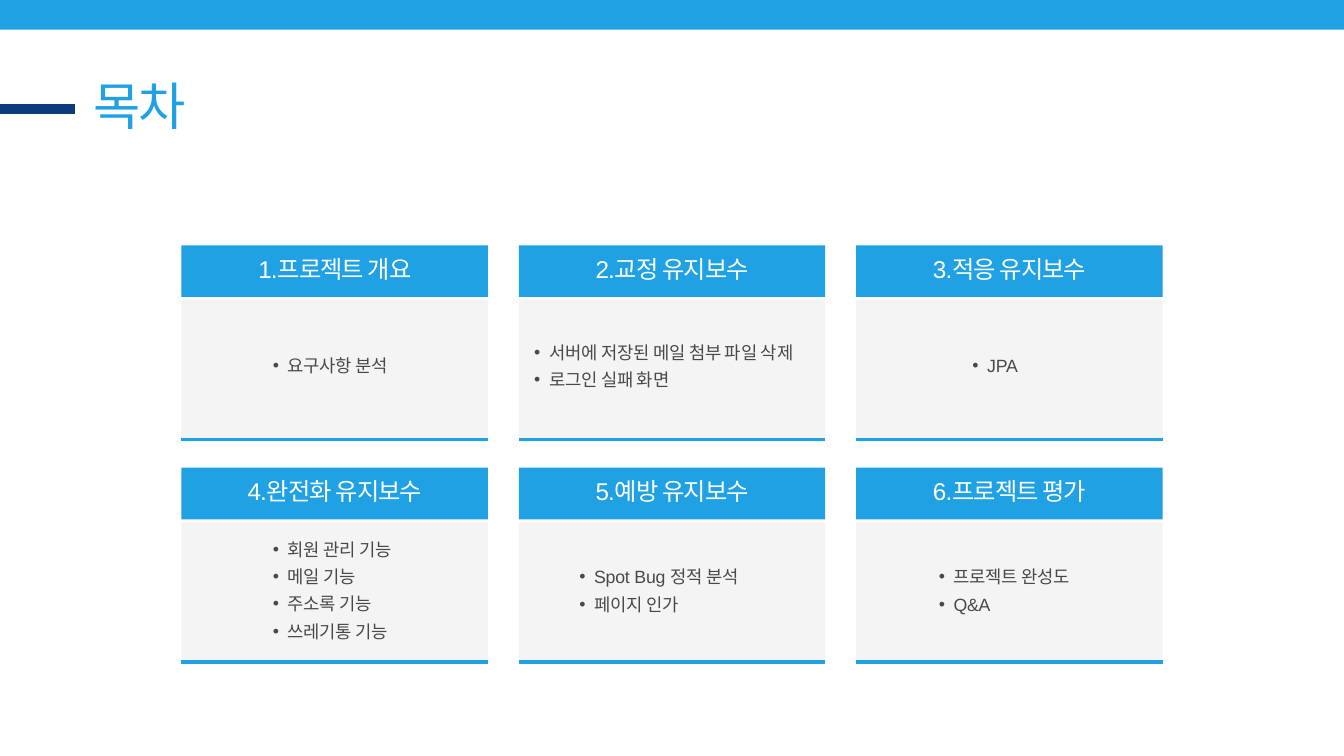
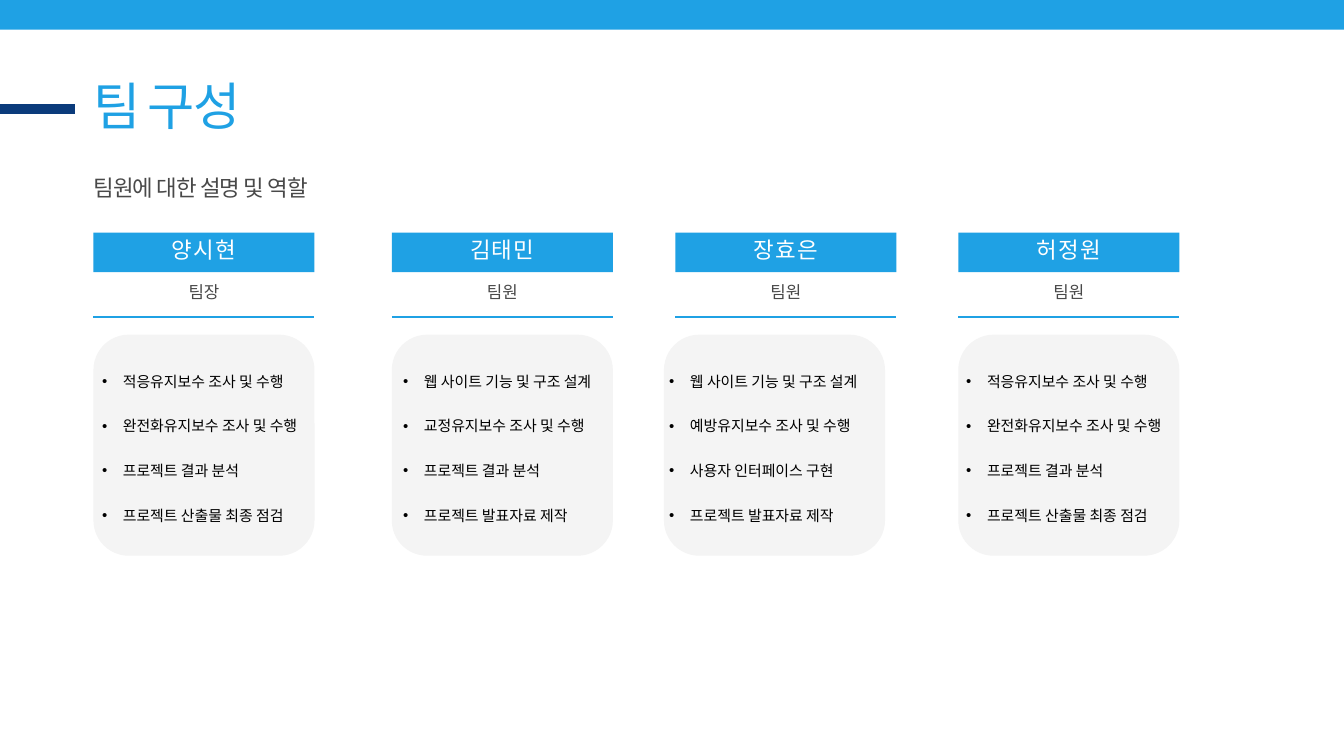
from lxml import etree
from pptx import Presentation
from pptx.dml.color import RGBColor
from pptx.enum.shapes import MSO_CONNECTOR, MSO_SHAPE
from pptx.enum.text import MSO_AUTO_SIZE, PP_ALIGN
from pptx.oxml.ns import qn
from pptx.util import Inches, Pt

RECTANGLE = MSO_SHAPE.RECTANGLE
ROUNDED = MSO_SHAPE.ROUNDED_RECTANGLE
STRAIGHT = MSO_CONNECTOR.STRAIGHT
LEFT, CENTER = PP_ALIGN.LEFT, PP_ALIGN.CENTER
FIT_TEXT = MSO_AUTO_SIZE.SHAPE_TO_FIT_TEXT

BLUE = RGBColor(0x1F, 0xA1, 0xE4)
NAVY = RGBColor(0x0B, 0x3B, 0x7B)
PALE = RGBColor(0xF4, 0xF4, 0xF4)
GRAY = RGBColor(0x49, 0x49, 0x49)
WHITE = RGBColor(0xFF, 0xFF, 0xFF)
BLACK = RGBColor(0, 0, 0)
ARIAL, CALIBRI = "Arial", "Calibri"

CARD_WIDTH = 4.56
TOPICS = [
    ("1.프로젝트 개요", 3.83, 2.38, ["요구사항 분석"]),
    ("2.교정 유지보수", 7.72, 4.56, ["서버에 저장된 메일 첨부 파일 삭제", "로그인 실패 화면"]),
    ("3.적응 유지보수", 14.24, 1.56, ["JPA"]),
    ("4.완전화 유지보수", 3.83, 2.36,
     ["회원 관리 기능", "메일 기능", "주소록 기능", "쓰레기통 기능"]),
    ("5.예방 유지보수", 8.39, 3.22, ["Spot Bug 정적 분석", "페이지 인가"]),
    ("6.프로젝트 평가", 13.74, 2.56, ["프로젝트 완성도", "Q&A"]),
]

MEMBER_WIDTH = 3.29
ADAPTIVE_DUTIES = ["적응유지보수 조사 및 수행", "완전화유지보수 조사 및 수행",
                   "프로젝트 결과 분석", "프로젝트 산출물 최종 점검"]
MEMBERS = [
    ("양시현", "팀장", 1.39, 1.39, 1.42, ADAPTIVE_DUTIES),
    ("김태민", "팀원", 5.83, 5.83, 5.9,
     ["웹 사이트 기능 및 구조 설계", "교정유지보수 조사 및 수행",
      "프로젝트 결과 분석", "프로젝트 발표자료 제작"]),
    ("장효은", "팀원", 10.05, 9.88, 9.86,
     ["웹 사이트 기능 및 구조 설계", "예방유지보수 조사 및 수행",
      "사용자 인터페이스 구현", "프로젝트 발표자료 제작"]),
    ("허정원", "팀원", 14.26, 14.26, 14.28, ADAPTIVE_DUTIES),
]


class Deck:
    """Holds the shared style and draws on the current slide."""

    def __init__(self):
        self.presentation = Presentation()
        self.presentation.slide_width = Inches(20)
        self.presentation.slide_height = Inches(11.25)
        self.slide = None

    def new_slide(self, title):
        layout = self.presentation.slide_layouts[6]
        self.slide = self.presentation.slides.add_slide(layout)
        self.block(-0.12, -0.13, 20.23, 0.57, BLUE)
        self.rule(-0.34, 1.62, 1.46, NAVY, 11.25)
        self.text(1.39, 1.11, 7.23, 1.06, [title], 55, BLUE, Pt(66), spacing=-2.2)

    def block(self, left, top, width, height, color, kind=RECTANGLE):
        shape = self.slide.shapes.add_shape(
            kind, Inches(left), Inches(top), Inches(width), Inches(height))
        shape.shadow.inherit = False
        shape.fill.solid()
        shape.fill.fore_color.rgb = color
        shape.line.fill.background()
        return shape

    def rule(self, left, top, width, color, weight):
        line = self.slide.shapes.add_connector(
            STRAIGHT, Inches(left), Inches(top), Inches(left + width), Inches(top))
        line.line.color.rgb = color
        line.line.width = Pt(weight)
        properties = line._element.find(qn("p:spPr"))
        etree.SubElement(properties, qn("a:effectLst"))

    def text(self, left, top, width, height, lines, size, color, line_spacing,
             font=CALIBRI, align=LEFT, spacing=0, bullet=None, inset=(0, 0)):
        box = self.slide.shapes.add_textbox(
            Inches(left), Inches(top), Inches(width), Inches(height))
        frame = box.text_frame
        frame.word_wrap = True
        frame.auto_size = FIT_TEXT
        frame.margin_left = frame.margin_right = Inches(inset[0])
        frame.margin_top = frame.margin_bottom = Inches(inset[1])
        for index, line in enumerate(lines):
            paragraph = frame.add_paragraph() if index else frame.paragraphs[0]
            paragraph.alignment = align
            paragraph.line_spacing = line_spacing
            if bullet:
                self.bullet(paragraph, *bullet)
            run = paragraph.add_run()
            run.text = line
            run.font.size = Pt(size)
            run.font.name = ARIAL if line[0].isascii() else font
            run.font.color.rgb = color
            if spacing:
                run._r.get_or_add_rPr().set("spc", str(round(spacing * 100)))

    def bullet(self, paragraph, margin, hanging):
        properties = paragraph._p.get_or_add_pPr()
        properties.set("marL", str(Inches(margin)))
        properties.set("indent", str(-Inches(hanging)))
        etree.SubElement(properties, qn("a:buFont")).set("typeface", ARIAL)
        etree.SubElement(properties, qn("a:buChar")).set("char", "•")

    def topic_card(self, index, heading, body_left, body_width, items):
        row, column = divmod(index, 3)
        left, top = 2.7 + column * 5.02, 3.65 + row * 3.31
        self.block(left, top, CARD_WIDTH, 0.77, BLUE)
        self.block(left, top + 0.81, CARD_WIDTH, 2.12, PALE)
        self.rule(left, top + 2.89, CARD_WIDTH, BLUE, 4)
        self.text(left + 0.2, top + 0.13, 4.17, 0.5, [heading], 26, WHITE,
                  Pt(31.2), align=CENTER, spacing=-1)
        height = 0.41 * len(items)
        middle = 5.4 + row * 3.34
        self.text(body_left, middle - height / 2, body_width, height, items, 19, GRAY,
                  Pt(29.4), spacing=-0.2, bullet=(0.45, 0.22))

    def member_card(self, name, role, left, panel_left, duties_left, duties):
        self.block(left, 3.46, MEMBER_WIDTH, 0.59, BLUE)
        self.text(left, 3.5, MEMBER_WIDTH, 0.48, [name], 24, WHITE, Pt(30),
                  align=CENTER, spacing=1.2)
        self.text(left, 4.17, MEMBER_WIDTH, 0.36, [role], 18, GRAY, Pt(23.4),
                  align=CENTER)
        self.rule(left, 4.72, MEMBER_WIDTH, BLUE, 2.25)
        panel = self.block(panel_left, 4.98, MEMBER_WIDTH, MEMBER_WIDTH, PALE, ROUNDED)
        panel.adjustments[0] = 0.16
        self.text(duties_left, 5.09, 3.83, 2.68, duties, 16, BLACK, 2.5,
                  bullet=(0.31, 0.31), inset=(0.1, 0.05))


def main():
    deck = Deck()
    deck.new_slide("목차")
    for index, topic in enumerate(TOPICS):
        deck.topic_card(index, *topic)

    deck.new_slide("팀 구성")
    deck.text(1.39, 2.53, 9.71, 0.51, ["팀원에 대한 설명 및 역할"], 24, GRAY,
              Pt(33.6), spacing=-1)
    for member in MEMBERS:
        deck.member_card(*member)
    deck.presentation.save("out.pptx")


if __name__ == "__main__":
    main()
